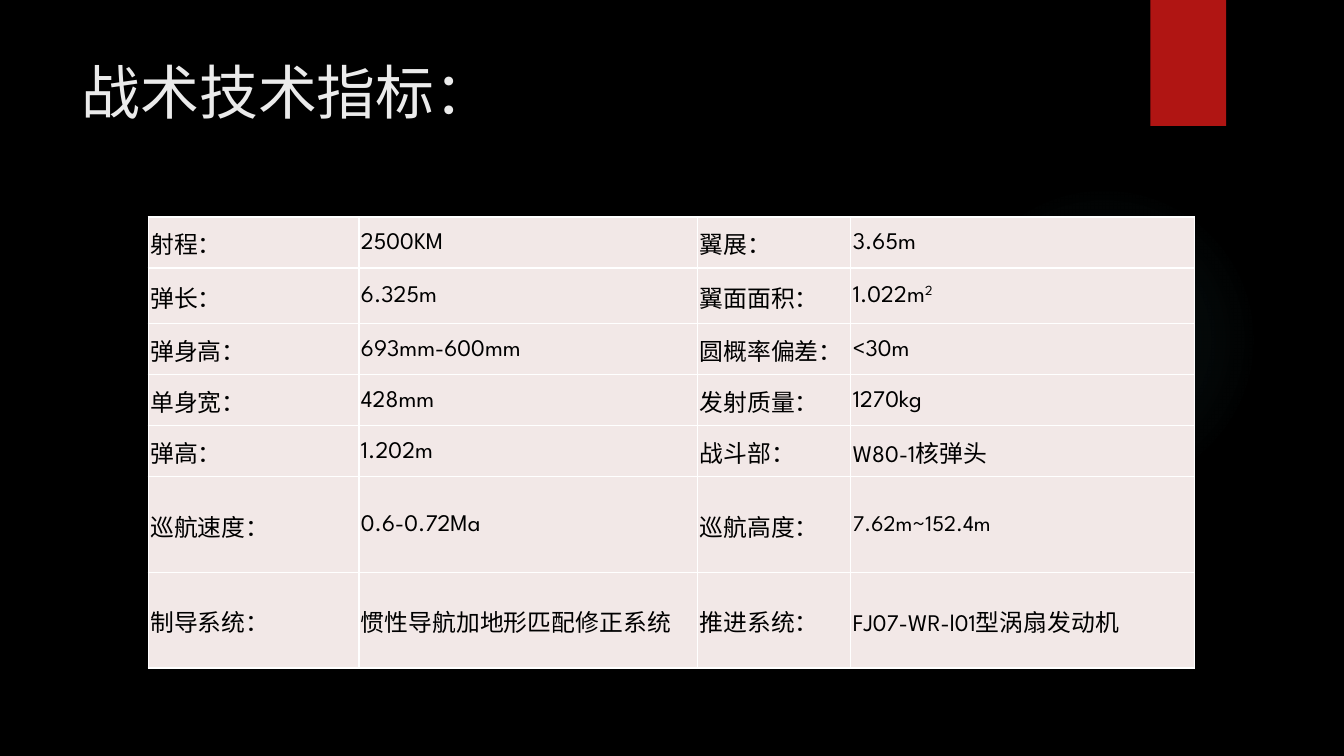
from dataclasses import dataclass

from lxml.etree import SubElement as Sub
from pptx import Presentation
from pptx.dml.color import RGBColor as Rgb
from pptx.enum.shapes import MSO_SHAPE as Kind
from pptx.enum.text import MSO_ANCHOR as Anchor
from pptx.oxml.ns import qn
from pptx.util import Emu, Inches, Pt

WIDE, HIGH = Inches(13.33), Inches(7.5)
FONT = "League Spartan"
BLACK, WHITE, RED = "000000", "FFFFFF", "B01513"
PALE, TITLE, GLOW = "F2E8E7", "EBEBEB", "50B9C1"


@dataclass
class Box:
    """Place and size in percent of the slide."""
    x: float
    y: float
    w: float
    h: float

    def emu(self) -> tuple[Emu, Emu, Emu, Emu]:
        return across(self.x), down(self.y), across(self.w), down(self.h)


@dataclass
class Run:
    text: str
    size: float = 17
    color: str = BLACK
    rise: int = 0


def across(share: float) -> Emu:
    return Emu(round(WIDE * share / 100))


def down(share: float) -> Emu:
    return Emu(round(HIGH * share / 100))


def paint(fill, color: str) -> None:
    fill.solid()
    fill.fore_color.rgb = Rgb.from_string(color)


def write(frame, runs: list[Run]) -> None:
    for item in runs:
        run = frame.paragraphs[0].add_run()
        run.text = item.text
        run.font.name, run.font.size = FONT, Pt(item.size)
        run.font.color.rgb = Rgb.from_string(item.color)
        if item.rise:
            run.font._element.set("baseline", str(item.rise * 1000))


def shape(slide, kind: Kind, box: Box, color: str):
    item = slide.shapes.add_shape(kind, *box.emu())
    item.shadow.inherit = False
    item.line.fill.background()
    paint(item.fill, color)
    return item


def glow(item, color: str, stops: list[tuple[int, int]]) -> None:
    """Swap the solid fill for a round gradient of (place, opacity) stops."""
    solid = item._element.spPr.find(qn("a:solidFill"))
    grad = solid.makeelement(qn("a:gradFill"), {"rotWithShape": "1"})
    solid.getparent().replace(solid, grad)
    row = Sub(grad, qn("a:gsLst"))
    for place, alpha in stops:
        stop = Sub(row, qn("a:gs"), pos=str(place * 1000))
        tint = Sub(stop, qn("a:srgbClr"), val=color)
        Sub(tint, qn("a:alpha"), val=str(alpha * 1000))
    ring = Sub(grad, qn("a:path"), path="circle")
    Sub(ring, qn("a:fillToRect"), dict.fromkeys("ltrb", "50000"))


def border(cell, color: str) -> None:
    props = cell._tc.get_or_add_tcPr()
    for spot, side in enumerate(("lnL", "lnR", "lnT", "lnB")):
        line = props.makeelement(qn(f"a:{side}"), {"w": str(Pt(1))})
        fill = Sub(line, qn("a:solidFill"))
        Sub(fill, qn("a:srgbClr"), val=color)
        props.insert(spot, line)


def grid(slide, box: Box, cols: list[float], rows: list[float], data: list) -> None:
    table = slide.shapes.add_table(len(rows), len(cols), *box.emu()).table
    table.first_row = table.horz_banding = False
    for col, share in zip(table.columns, cols):
        col.width = across(share)
    for row, share, line in zip(table.rows, rows, data):
        row.height = down(share)
        for cell, value in zip(row.cells, line):
            cell.margin_left = cell.margin_right = cell.margin_top = Inches(0.02)
            cell.margin_bottom = 0
            cell.vertical_anchor = Anchor.MIDDLE
            paint(cell.fill, PALE)
            border(cell, WHITE)
            write(cell.text_frame, [Run(value)] if isinstance(value, str) else value)


DATA = [
    ("射程：", "2500KM", "翼展：", "3.65m"),
    ("弹长：", "6.325m", "翼面面积：", [Run("1.022m"), Run("2", rise=30)]),
    ("弹身高：", "693mm-600mm", "圆概率偏差：", "<30m"),
    ("单身宽：", "428mm", "发射质量：", "1270kg"),
    ("弹高：", "1.202m", "战斗部：", "W80-1核弹头"),
    ("巡航速度：", "0.6-0.72Ma", "巡航高度：", [Run("7.62m~152.4m", size=16)]),
    ("制导系统：", "惯性导航加地形匹配修正系统", "推进系统：", "FJ07-WR-l01型涡扇发动机"),
]
COLS = [15.68, 25.2, 11.4, 25.6]
LOW, TALL = 6.75, 12.65
ROWS = [LOW, 7.4, LOW, LOW, LOW, TALL, TALL]


def main() -> None:
    deck = Presentation()
    deck.slide_width, deck.slide_height = WIDE, HIGH
    slide = deck.slides.add_slide(deck.slide_layouts[6])

    # Backdrop
    paint(slide.background.fill, BLACK)
    halo = shape(slide, Kind.OVAL, Box(70.6, 24.4, 23.1, 41.07), GLOW)
    glow(halo, GLOW, [(0, 7), (36, 6), (69, 0)])
    shape(slide, Kind.RECTANGLE, Box(85.6, 0, 5.63, 16.67), RED)

    # Title
    head = slide.shapes.add_textbox(*Box(5.33, 6.67, 77.2, 20.4).emu()).text_frame
    head.word_wrap = True
    head.vertical_anchor = Anchor.TOP
    write(head, [Run("战术技术指标：", 42, TITLE)])

    # Data table
    grid(slide, Box(11.03, 28.7, sum(COLS), sum(ROWS)), COLS, ROWS, DATA)
    deck.save("out.pptx")


if __name__ == "__main__":
    main()
